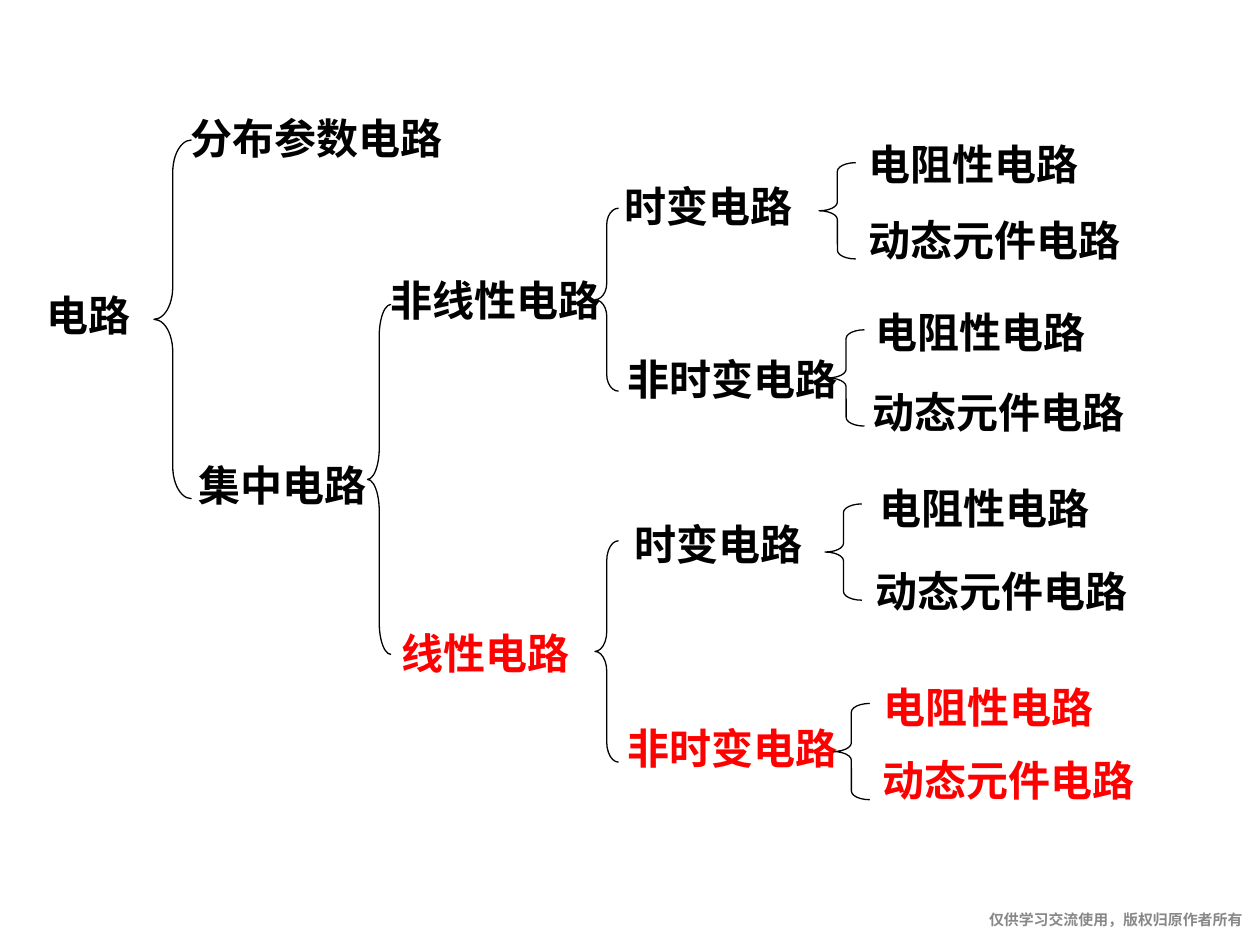
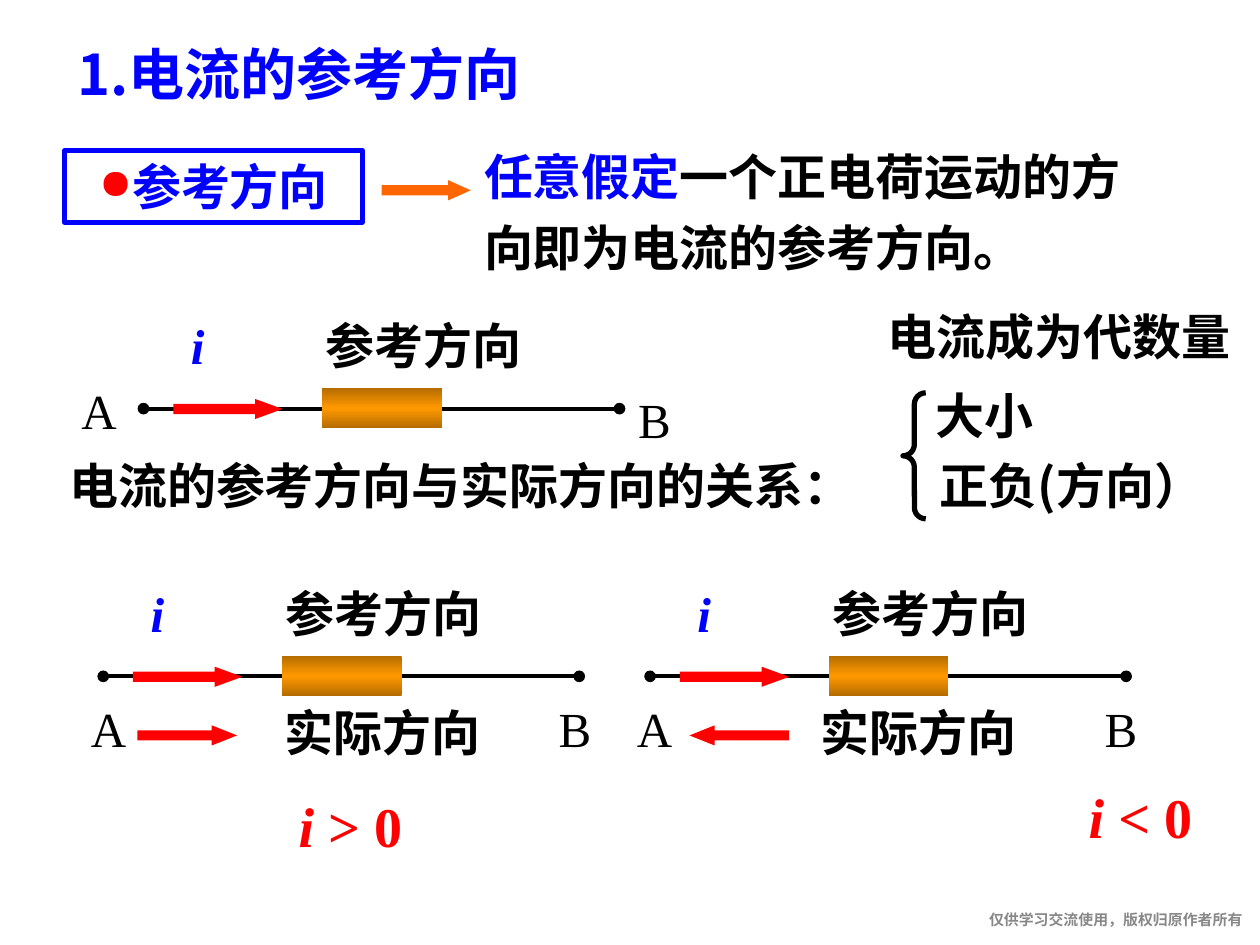
"""Build two slides on circuit classification and the reference direction of current."""
from dataclasses import dataclass

from lxml import etree
from pptx import Presentation
from pptx import util as u
from pptx.dml.color import RGBColor
from pptx.enum import shapes, text
from pptx.oxml import parse_xml
from pptx.oxml.ns import nsdecls, qn


@dataclass(frozen=True)
class Theme:
    black: str = "000000"
    red: str = "FF0000"
    blue: str = "0000FF"
    orange: str = "FF6600"
    gray: str = "888888"
    resistor_edge: str = "B66D00"
    resistor_middle: str = "FF9900"
    serif: str = "Times New Roman"
    sans: str = "Noto Sans CJK SC"
    footer_font: str = "Arial"
    footer_size: float = 8.5
    node_size: float = 24
    body_size: float = 28
    title_size: float = 32


THEME = Theme()
SHAPE = shapes.MSO_SHAPE
ALIGN = text.PP_ALIGN
TOP, MIDDLE = text.MSO_ANCHOR.TOP, text.MSO_ANCHOR.MIDDLE

FOOTER = "仅供学习交流使用，版权归原作者所有"
TITLE = "1.电流的参考方向"
TERM = "参考方向"
DEFINITION = [("任意假定", THEME.blue), ("一个正电荷运动的方向即为电流的参考方向。", THEME.black)]

NODES = [
    ("电路", 19.5, 162, THEME.black),
    ("分布参数电路", 102, 60.5, THEME.black),
    ("集中电路", 106.5, 259, THEME.black),
    ("非线性电路", 216, 153.5, THEME.black),
    ("线性电路", 222.5, 355, THEME.red),
    ("时变电路", 350, 99.5, THEME.black),
    ("非时变电路", 351.5, 198.5, THEME.black),
    ("时变电路", 355.5, 293, THEME.black),
    ("非时变电路", 351.5, 409.5, THEME.red),
    ("电阻性电路", 489, 75.5, THEME.black),
    ("动态元件电路", 489, 119, THEME.black),
    ("电阻性电路", 493, 171.5, THEME.black),
    ("动态元件电路", 491.5, 217.5, THEME.black),
    ("电阻性电路", 495.5, 272, THEME.black),
    ("动态元件电路", 493, 319.5, THEME.black),
    ("电阻性电路", 498, 386, THEME.red),
    ("动态元件电路", 497, 427.5, THEME.red),
]
BRANCH_BRACES = [(88, 80, 21.5, 205), (210, 174, 13.5, 200),
                 (340, 119, 13.5, 104.5), (340, 309, 13.5, 126.5)]
LEAF_BRACES = [(468, 93), (473, 188.5), (471.5, 288), (476, 402)]
LEAF_BRACE_SIZE = (21, 55)

STATEMENTS = [
    ("电流成为代数量", (490.5, 171.5, 229.5, 41), ALIGN.CENTER, THEME.sans),
    ("大小", (527.5, 216.5, 109, 41), ALIGN.LEFT, THEME.serif),
    ("正负(方向）", (521.5, 256.5, 181.5, 41), ALIGN.CENTER, THEME.sans),
    ("电流的参考方向与实际方向的关系：", (31, 256.5, 464.5, 41), ALIGN.CENTER, THEME.serif),
    ("实际方向", (155.5, 397.5, 149, 41), ALIGN.LEFT, THEME.serif),
    ("实际方向", (462, 397.5, 148, 41), ALIGN.LEFT, THEME.serif),
]
COMPARISONS = [(" > 0", 163.5, 448.5), (" < 0", 615, 443.5)]
CIRCUITS = [
    {"start": (82, 233.5), "A": (31, 214), "B": (348.5, 219)},
    {"start": (59, 386.5), "A": (36.5, 395.5), "B": (303, 395.5)},
    {"start": (371.5, 386.5), "A": (348.5, 395.5), "B": (615, 395.5)},
]
BLOCK_ARROWS = [
    (SHAPE.RIGHT_ARROW, (218, 103, 51, 11.5), 1.12, THEME.orange),
    (SHAPE.RIGHT_ARROW, (78.5, 414.5, 57, 11.5), 1.26, THEME.red),
    (SHAPE.LEFT_ARROW, (394, 414.5, 57, 11.5), 1.25, THEME.red),
]


def color(value):
    return RGBColor.from_string(value)


def points(values):
    return [u.Pt(value) for value in values]


def add_run(paragraph, words, size, shade, font=THEME.serif, bold=True, italic=False):
    run = paragraph.add_run()
    run.text = words
    run.font.size, run.font.name = u.Pt(size), font
    run.font.bold, run.font.italic = bold, italic
    run.font.color.rgb = color(shade)


def add_text(slide, box, words="", size=THEME.body_size, shade=THEME.black,
             align=ALIGN.LEFT, anchor=MIDDLE, wrap=True, **style):
    frame = slide.shapes.add_textbox(*points(box)).text_frame
    frame.word_wrap, frame.vertical_anchor = wrap, anchor
    paragraph = frame.paragraphs[0]
    paragraph.alignment = align
    if words:
        add_run(paragraph, words, size, shade, **style)
    return frame


def add_shape(slide, kind, box, fill=None, line=None, width=0.75):
    shape = slide.shapes.add_shape(kind, *points(box))
    shape.shadow.inherit = False
    if fill:
        shape.fill.solid()
        shape.fill.fore_color.rgb = color(fill)
    else:
        shape.fill.background()
    if line:
        shape.line.color.rgb = color(line)
        shape.line.width = u.Pt(width)
    else:
        shape.line.fill.background()
    return shape


def add_brace(slide, box, width=0.75):
    brace = add_shape(slide, SHAPE.LEFT_BRACE, box, line=THEME.black, width=width)
    brace.adjustments[0] = 0.09 * box[3] / box[2]


def add_block_arrow(slide, kind, box, head, fill):
    arrow = add_shape(slide, kind, box, fill)
    arrow.adjustments[1] = head


def add_wire(slide, x, y, length):
    wire = slide.shapes.add_connector(shapes.MSO_CONNECTOR.STRAIGHT,
                                      *points((x, y, x + length, y)))
    wire.line.color.rgb = color(THEME.black)
    wire.line.width = u.Pt(2.25)
    properties = wire._element.spPr
    for end in ("a:headEnd", "a:tailEnd"):
        etree.SubElement(properties.find(qn("a:ln")), qn(end), type="oval")
    etree.SubElement(properties, qn("a:effectLst"))


def add_resistor(slide, box):
    resistor = add_shape(slide, SHAPE.RECTANGLE, box)
    stops = ((0, THEME.resistor_edge), (50000, THEME.resistor_middle), (100000, THEME.resistor_edge))
    stop_list = "".join(f'<a:gs pos="{place}"><a:srgbClr val="{shade}"/></a:gs>'
                        for place, shade in stops)
    gradient = parse_xml(f'<a:gradFill {nsdecls("a")}><a:gsLst>{stop_list}</a:gsLst>'
                         '<a:lin ang="5400000" scaled="0"/></a:gradFill>')
    properties = resistor._element.spPr
    properties.replace(properties.find(qn("a:noFill")), gradient)


def add_circuit(slide, circuit):
    x, y = circuit["start"]
    add_text(slide, (x + 20, y - 57, 36, 41), "i", shade=THEME.blue, italic=True)
    add_text(slide, (x + 97, y - 57, 130, 41), TERM)
    for terminal in "AB":
        add_text(slide, (*circuit[terminal], 51, 41), terminal,
                 align=ALIGN.CENTER, anchor=TOP, bold=False)
    add_wire(slide, x, y, 272)
    add_resistor(slide, (x + 102, y - 11.5, 68.5, 22.5))
    add_block_arrow(slide, SHAPE.RIGHT_ARROW, (x + 17, y - 5.5, 62.5, 11.5), 1.37, THEME.red)


def add_term_box(slide):
    shape = add_shape(slide, SHAPE.RECTANGLE, (37, 86, 170, 41), line=THEME.blue, width=3)
    shape.text_frame.vertical_anchor = MIDDLE
    paragraph = shape.text_frame.paragraphs[0]
    paragraph.alignment = ALIGN.CENTER
    properties = paragraph._p.get_or_add_pPr()
    bullet_color = etree.SubElement(properties, qn("a:buClr"))
    etree.SubElement(bullet_color, qn("a:srgbClr"), val=THEME.red)
    etree.SubElement(properties, qn("a:buSzPct"), val="85000")
    etree.SubElement(properties, qn("a:buChar"), char="●")
    add_run(paragraph, TERM, THEME.body_size, THEME.blue)


def add_slide(presentation):
    slide = presentation.slides.add_slide(presentation.slide_layouts[6])
    frame = add_text(slide, (436.5, 520.5, 273.5, 16), FOOTER, THEME.footer_size, THEME.gray,
                     ALIGN.RIGHT, TOP, font=THEME.footer_font)
    frame.margin_left = frame.margin_right = frame.margin_top = frame.margin_bottom = 0
    return slide


def build_classification(presentation):
    slide = add_slide(presentation)
    for words, x, y, shade in NODES:
        add_text(slide, (x, y, 196, 40), words, THEME.node_size, shade, ALIGN.JUSTIFY, TOP)
    for box in BRANCH_BRACES + [corner + LEAF_BRACE_SIZE for corner in LEAF_BRACES]:
        add_brace(slide, box)


def build_reference_direction(presentation):
    slide = add_slide(presentation)
    add_text(slide, (37, 19, 289.5, 45.5), TITLE, THEME.title_size, THEME.blue, font=THEME.sans)
    add_term_box(slide)
    definition = add_text(slide, (269.5, 73.5, 402.5, 88), anchor=TOP).paragraphs[0]
    definition.line_spacing = 1.2
    for words, shade in DEFINITION:
        add_run(definition, words, THEME.body_size, shade)
    for words, box, align, font in STATEMENTS:
        add_text(slide, box, words, align=align, wrap=False, font=font)
    add_brace(slide, (516, 224.5, 13, 72), width=3)
    for arrow in BLOCK_ARROWS:
        add_block_arrow(slide, *arrow)
    for circuit in CIRCUITS:
        add_circuit(slide, circuit)
    for relation, x, y in COMPARISONS:
        frame = add_text(slide, (x, y, 73.5, 45.5), "i", THEME.title_size, THEME.red,
                         ALIGN.CENTER, wrap=False, italic=True)
        add_run(frame.paragraphs[0], relation, THEME.title_size, THEME.red)


def main():
    presentation = Presentation()
    presentation.slide_width, presentation.slide_height = points((720, 540))
    build_classification(presentation)
    build_reference_direction(presentation)
    presentation.save("out.pptx")


if __name__ == "__main__":
    main()
